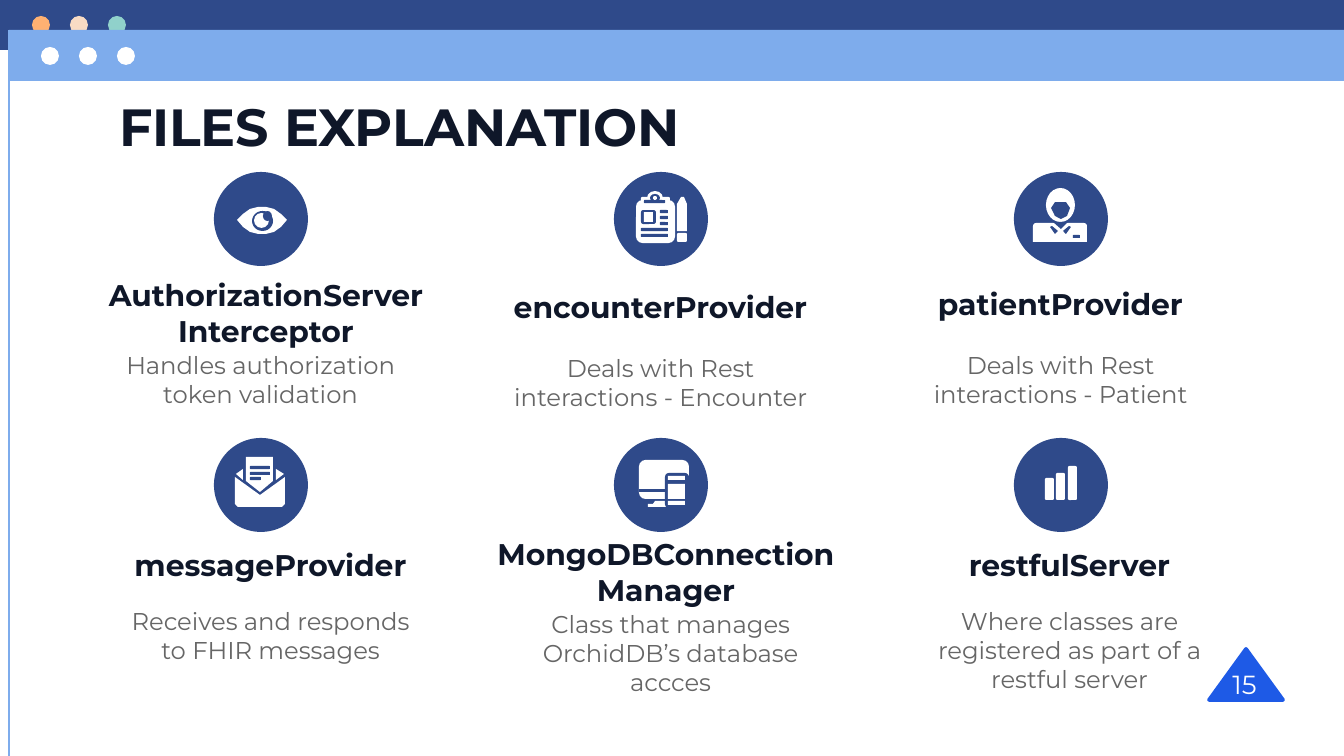
from pptx import Presentation, util as u
from pptx.dml.color import RGBColor
from pptx.enum import shapes, text
from pptx.oxml.ns import qn
from lxml import etree

PX = 914400 / 134.4
NAVY = RGBColor(0x2F, 0x4A, 0x8A)
SKY = RGBColor(0x7E, 0xAC, 0xEC)
BLUE = RGBColor(0x1E, 0x5A, 0xE6)
ORANGE = RGBColor(0xFF, 0xB1, 0x72)
PEACH = RGBColor(0xF8, 0xDB, 0xC4)
MINT = RGBColor(0x90, 0xD1, 0xCB)
WHITE = RGBColor(0xFF, 0xFF, 0xFF)
INK = RGBColor(0x0F, 0x17, 0x29)
GRAY = RGBColor(0x66, 0x66, 0x66)

RECT = shapes.MSO_SHAPE.RECTANGLE
OVAL = shapes.MSO_SHAPE.OVAL
ROUND = shapes.MSO_SHAPE.ROUNDED_RECTANGLE
TOP = shapes.MSO_SHAPE.ROUND_2_SAME_RECTANGLE
PEAK = shapes.MSO_SHAPE.ISOSCELES_TRIANGLE
POLY = None

deck = Presentation()
deck.slide_width, deck.slide_height = round(1344 * PX), round(756 * PX)
slide = deck.slides.add_slide(deck.slide_layouts[6])


def draw(kind, fill, *geo):
    """Add a filled shape; geo is left, top, width, height, or points for POLY."""
    if kind is POLY:
        pen = slide.shapes.build_freeform(*geo[0], scale=PX)
        pen.add_line_segments(geo[1:], close=True)
        shape = pen.convert_to_shape()
    else:
        shape = slide.shapes.add_shape(kind, *[round(n * PX) for n in geo])
    shape.shadow.inherit = False
    shape.fill.solid()
    shape.fill.fore_color.rgb = fill
    shape.line.fill.background()
    return shape


def write(lines, box, size, color, bold=False, align=text.PP_ALIGN.CENTER,
          inset=13, after=0):
    frame = slide.shapes.add_textbox(*[round(n * PX) for n in box]).text_frame
    frame.word_wrap = True
    frame.margin_left = frame.margin_right = round(13 * PX)
    frame.margin_top = frame.margin_bottom = round(inset * PX)
    for i, line in enumerate(lines):
        para = frame.add_paragraph() if i else frame.paragraphs[0]
        para.alignment = align
        para.space_after = u.Pt(after)
        run = para.add_run()
        run.text = line
        run.font.name = "Montserrat"
        run.font.size = u.Pt(size)
        run.font.bold = bold
        run.font.color.rgb = color


# Window bars and their dots
draw(RECT, NAVY, 0, 0, 1344, 50)
for i, color in enumerate((ORANGE, PEACH, MINT)):
    draw(OVAL, color, 32 + 38 * i, 16, 18, 18)
draw(RECT, SKY, 9, 30, 1335, 51)
for i in range(3):
    draw(OVAL, WHITE, 41 + 38 * i, 47, 18, 18)
edge = slide.shapes.add_connector(
    shapes.MSO_CONNECTOR.STRAIGHT, *[round(n * PX) for n in (9, 30, 9, 756)])
edge.line.color.rgb = SKY
edge.line.width = u.Pt(0.75)
etree.SubElement(edge.element.spPr, qn("a:effectLst"))

write(["FILES EXPLANATION"], (106, 81, 1134, 69), 28, INK, True,
      text.PP_ALIGN.LEFT)

# Page number
peak = draw(PEAK, BLUE, 1209, 649, 74, 51)
peak.line.color.rgb = BLUE
peak.line.width = u.Pt(2)
write(["15"], (1188, 661, 113, 46), 14, WHITE, inset=7)

# Cards, row by row: name lines, name left, top and width, note, note left and top
cards = [
    (["AuthorizationServerInterceptor"], 94, 264, 344,
     "Handles authorization token validation", 94, 337),
    (["encounterProvider"], 493, 276, 335,
     "Deals with Rest interactions - Encounter", 494, 340),
    (["patientProvider"], 893, 273, 335,
     "Deals with Rest interactions - Patient", 894, 337),
    (["messageProvider"], 103, 534, 335,
     "Receives and responds to FHIR messages", 104, 593),
    (["MongoDBConnection", "Manager"], 481, 523, 370,
     "Class that manages OrchidDB’s database accces", 504, 596),
    (["restfulServer"], 902, 534, 335,
     "Where classes are registered as part of a restful server", 903, 593),
]
for i, (name, left, top, width, note, x, y) in enumerate(cards):
    row, col = divmod(i, 3)
    draw(OVAL, NAVY, 214 + 400 * col, 172 + 266 * row, 94, 94)
    write(name, (left, top, width, 69), 16, INK, True)
    write([note], (x, y, 333, 91), 13, GRAY, after=12)

eye = [
    (POLY, WHITE, (237, 220), (243, 214), (250, 209), (258, 207), (266, 207),
     (274, 209), (281, 214), (287, 220), (281, 227), (274, 232), (266, 234),
     (258, 234), (250, 232), (243, 227)),
    (OVAL, NAVY, 252, 211, 21, 20),
    (OVAL, WHITE, 254, 213, 15, 15),
    (OVAL, NAVY, 263, 211, 9, 10),
]
chart = [
    (ROUND, WHITE, 636, 200, 39, 43),
    (ROUND, WHITE, 641, 197, 29, 8),
    (OVAL, WHITE, 647, 191, 16, 14),
    (ROUND, NAVY, 644, 200, 21, 3),
    (OVAL, NAVY, 650, 194, 10, 8),
    (OVAL, WHITE, 653, 196, 4, 4),
    (ROUND, NAVY, 641, 210, 15, 14),
    (RECT, WHITE, 644, 212, 9, 10),
    *[(ROUND, NAVY, 660, y, 8, 3) for y in (210, 216, 222)],
    *[(ROUND, NAVY, 641, y, 27, 3) for y in (228, 234)],
    (POLY, WHITE, (681, 197), (684, 197), (687, 204), (687, 231),
     (677, 231), (677, 204)),
    (ROUND, WHITE, 677, 233, 10, 9),
]
doctor = [
    (OVAL, WHITE, 1046, 188, 29, 34),
    (POLY, NAVY, (1055, 202), (1066, 202), (1070, 208), (1067, 216),
     (1061, 219), (1055, 216), (1051, 208)),
    (TOP, WHITE, 1033, 223, 54, 19),
    (POLY, NAVY, (1053, 222), (1068, 222), (1061, 229)),
    (POLY, NAVY, (1052, 226), (1058, 231), (1055, 234), (1050, 227)),
    (POLY, NAVY, (1069, 226), (1071, 227), (1066, 234), (1063, 231)),
    (ROUND, NAVY, 1073, 235, 7, 3),
]
mail = [
    (POLY, WHITE, (235, 477), (260, 495), (285, 477), (285, 504), (282, 507),
     (238, 507), (235, 504)),
    (POLY, WHITE, (276, 469), (276, 480), (284, 474)),
    (POLY, WHITE, (243, 469), (243, 480), (236, 474)),
    (POLY, WHITE, (246, 457), (273, 457), (273, 481), (260, 492), (246, 481)),
    *[(ROUND, NAVY, 250, y, w, 3) for y, w in ((466, 20), (472, 20), (477, 11))],
]
screen = [
    (ROUND, WHITE, 639, 460, 50, 39),
    (RECT, NAVY, 639, 489, 27, 3),
    (POLY, WHITE, (655, 501), (665, 501), (667, 507), (648, 507), (648, 504),
     (653, 504)),
    (ROUND, NAVY, 665, 473, 24, 35),
    *[(RECT, WHITE, 668, y, 17, h) for y, h in ((476, 4), (484, 15), (501, 4))],
]
bars = [(ROUND, WHITE, x, y, 9, 500 - y)
        for x, y in ((1045, 478), (1056, 473), (1068, 466))]
for icon in (eye, chart, doctor, mail, screen, bars):
    for part in icon:
        draw(*part)

deck.save("out.pptx")
